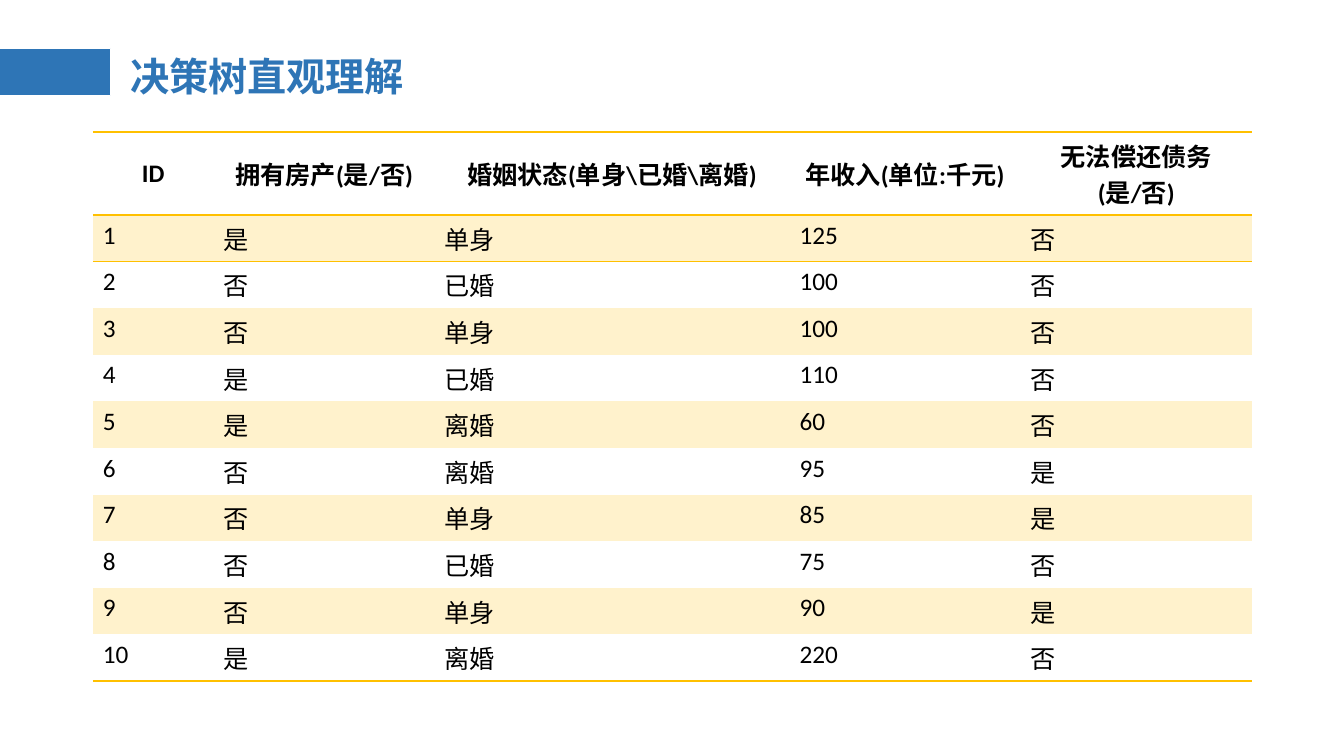
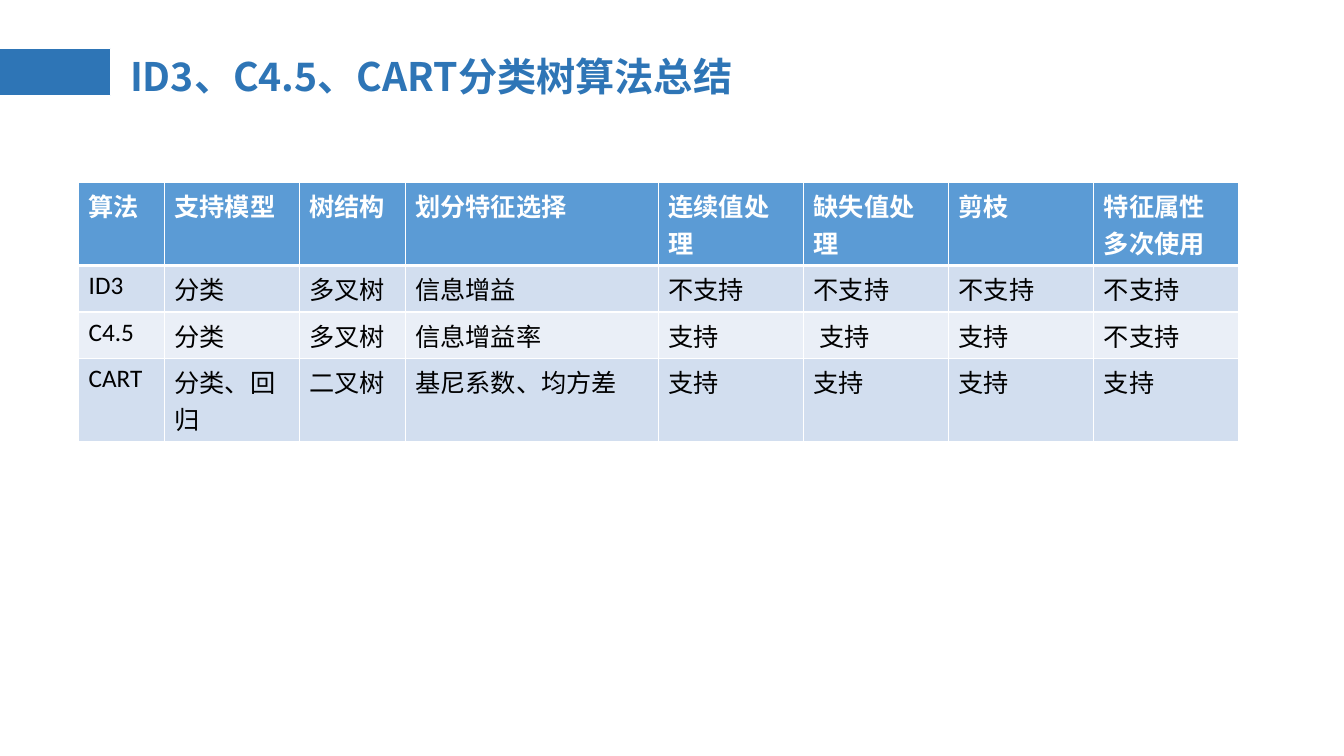
from lxml.etree import SubElement
from pptx import Presentation
from pptx.dml.color import RGBColor
from pptx.enum.shapes import MSO_SHAPE
from pptx.enum.text import MSO_ANCHOR, MSO_AUTO_SIZE, PP_ALIGN
from pptx.oxml.ns import qn
from pptx.util import Inches, Pt

BLUE = RGBColor(0x2E, 0x75, 0xB6)
HEADER_BLUE = RGBColor(0x5B, 0x9B, 0xD5)
BAND_BLUE = RGBColor(0xD2, 0xDE, 0xEF)
PALE_BLUE = RGBColor(0xEA, 0xEF, 0xF7)
GOLD = RGBColor(0xFF, 0xC0, 0x00)
PALE_GOLD = RGBColor(0xFF, 0xF2, 0xCC)
WHITE = RGBColor(0xFF, 0xFF, 0xFF)
BLACK = RGBColor(0x00, 0x00, 0x00)

LATIN_FONT = "Calibri"
CHINESE_FONT = "Noto Sans CJK SC"
PLAIN_TABLE_STYLE = "{2D5ABB26-0587-4C30-8999-92F81FD0307C}"
TITLE_ONLY = 5

BORROWERS = [
    ["ID", "拥有房产(是/否)", "婚姻状态(单身\\已婚\\离婚)", "年收入(单位:千元)", "无法偿还债务(是/否)"],
    ["1", "是", "单身", "125", "否"],
    ["2", "否", "已婚", "100", "否"],
    ["3", "否", "单身", "100", "否"],
    ["4", "是", "已婚", "110", "否"],
    ["5", "是", "离婚", "60", "否"],
    ["6", "否", "离婚", "95", "是"],
    ["7", "否", "单身", "85", "是"],
    ["8", "否", "已婚", "75", "否"],
    ["9", "否", "单身", "90", "是"],
    ["10", "是", "离婚", "220", "否"],
]
ALGORITHMS = [
    ["算法", "支持模型", "树结构", "划分特征选择", "连续值处理", "缺失值处理", "剪枝", "特征属性多次使用"],
    ["ID3", "分类", "多叉树", "信息增益", "不支持", "不支持", "不支持", "不支持"],
    ["C4.5", "分类", "多叉树", "信息增益率", "支持", " 支持", "支持", "不支持"],
    ["CART", "分类、回归", "二叉树", "基尼系数、均方差", "支持", "支持", "支持", "支持"],
]

BORROWER_STYLE = {
    "header": {"fill": None, "color": BLACK, "align": PP_ALIGN.CENTER, "anchor": MSO_ANCHOR.MIDDLE},
    "bands": (PALE_GOLD, None),
    "rule_color": GOLD,
    "row_rules": [1, 1] + [0] * 9 + [1],
    "column_rule": 0,
}
ALGORITHM_STYLE = {
    "header": {"fill": HEADER_BLUE, "color": WHITE, "align": PP_ALIGN.LEFT, "anchor": MSO_ANCHOR.TOP},
    "bands": (BAND_BLUE, PALE_BLUE),
    "rule_color": WHITE,
    "row_rules": [1, 3, 1, 1, 1],
    "column_rule": 1,
}


class Deck:
    def __init__(self):
        self.presentation = Presentation()
        self.presentation.slide_width = Inches(13.33)
        self.presentation.slide_height = Inches(7.5)
        self.slide = None

    def add_slide(self, title):
        layout = self.presentation.slide_layouts[TITLE_ONLY]
        self.slide = self.presentation.slides.add_slide(layout)
        self.add_band()
        self.set_title(title)

    def add_band(self):
        band = self.slide.shapes.add_shape(
            MSO_SHAPE.RECTANGLE, 0, Inches(0.48), Inches(1.1), Inches(0.47))
        band.shadow.inherit = False
        band.fill.solid()
        band.fill.fore_color.rgb = BLUE
        band.line.color.rgb = WHITE
        band.line.width = Pt(0.75)

    def set_title(self, text):
        title = self.slide.shapes.title
        place = {"left": 1.19, "top": 0.18, "width": 11.5, "height": 1.2}
        for name, length in place.items():
            setattr(title, name, Inches(length))
        frame = title.text_frame
        frame.text = text
        frame.word_wrap = True
        frame.auto_size = MSO_AUTO_SIZE.NONE
        frame.vertical_anchor = MSO_ANCHOR.MIDDLE
        paragraph = frame.paragraphs[0]
        paragraph.alignment = PP_ALIGN.LEFT
        paragraph.line_spacing = 0.9
        self.set_font(paragraph.runs[0], name=CHINESE_FONT, size=Pt(28), bold=True, color=BLUE)

    def set_font(self, run, color, **formats):
        for name, value in formats.items():
            setattr(run.font, name, value)
        run.font.color.rgb = color
        SubElement(run.font._element, qn("a:ea"), typeface=CHINESE_FONT)

    def add_table(self, records, left, top, widths, heights, style):
        frame = self.slide.shapes.add_table(
            len(records), len(widths), Inches(left), Inches(top),
            Inches(sum(widths)), Inches(sum(heights)))
        table = frame.table
        table._tbl.tblPr.find(qn("a:tableStyleId")).text = PLAIN_TABLE_STYLE
        for column, width in zip(table.columns, widths):
            column.width = Inches(width)
        for row, height in zip(table.rows, heights):
            row.height = Inches(height)
        for row_index, record in enumerate(records):
            for column_index, text in enumerate(record):
                self.fill_cell(table.cell(row_index, column_index), text, row_index, style)

    def fill_cell(self, cell, text, row_index, style):
        is_header = row_index == 0
        if is_header:
            look = style["header"]
        else:
            look = {"fill": style["bands"][(row_index - 1) % 2], "color": BLACK,
                    "align": PP_ALIGN.LEFT, "anchor": MSO_ANCHOR.TOP}
        cell.text = text
        cell.vertical_anchor = look["anchor"]
        paragraph = cell.text_frame.paragraphs[0]
        paragraph.alignment = look["align"]
        self.set_font(paragraph.runs[0], name=LATIN_FONT, size=Pt(18),
                      bold=is_header, color=look["color"])

        above, below = style["row_rules"][row_index:row_index + 2]
        sides = {"L": style["column_rule"], "R": style["column_rule"], "T": above, "B": below}
        self.set_borders(cell, sides, style["rule_color"])
        if look["fill"] is None:
            cell.fill.background()
        else:
            cell.fill.solid()
            cell.fill.fore_color.rgb = look["fill"]

    def set_borders(self, cell, sides, color):
        """Draw the sides of non-zero width in points; call before filling the cell."""
        properties = cell._tc.get_or_add_tcPr()
        for side, width in sides.items():
            if width:
                line = SubElement(properties, qn(f"a:ln{side}"), w=str(Pt(width)))
                fill = SubElement(line, qn("a:solidFill"))
                SubElement(fill, qn("a:srgbClr"), val=str(color))


def main():
    deck = Deck()

    deck.add_slide("决策树直观理解")
    deck.add_table(BORROWERS, 0.92, 1.31, [1.2, 2.19, 3.52, 2.29, 2.3],
                   [0.65] + [0.42] * 10, BORROWER_STYLE)

    deck.add_slide("ID3、C4.5、CART分类树算法总结")
    deck.add_table(ALGORITHMS, 0.78, 1.81, [0.85, 1.34, 1.05, 2.51] + [1.44] * 4,
                   [0.7, 0.4, 0.4, 0.7], ALGORITHM_STYLE)

    deck.presentation.save("out.pptx")


if __name__ == "__main__":
    main()
